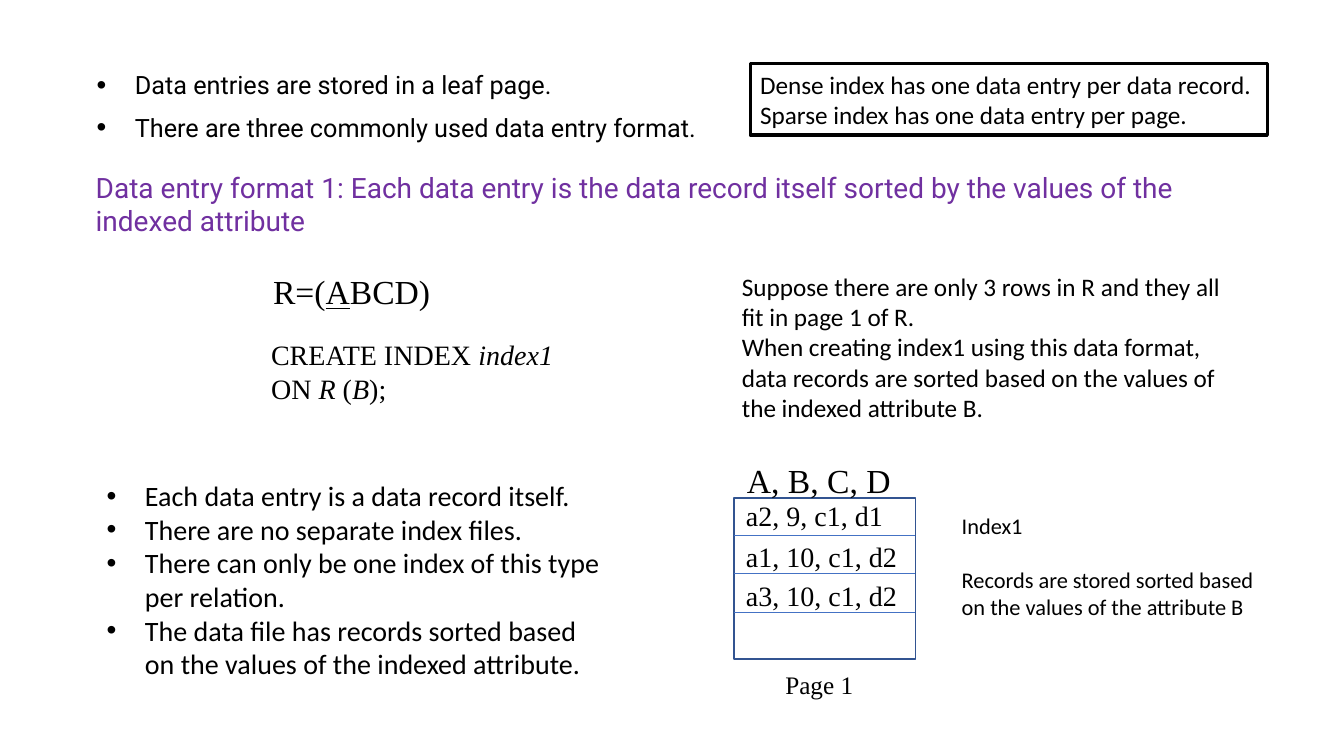
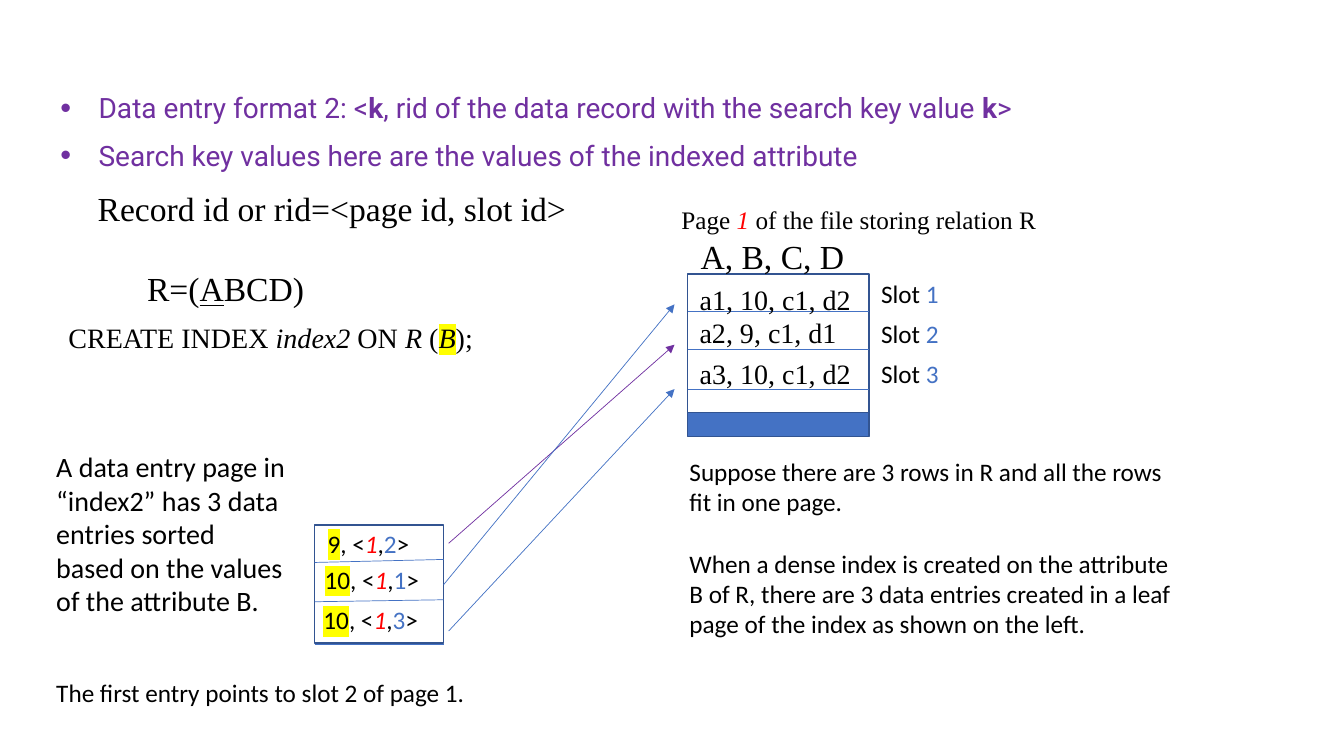
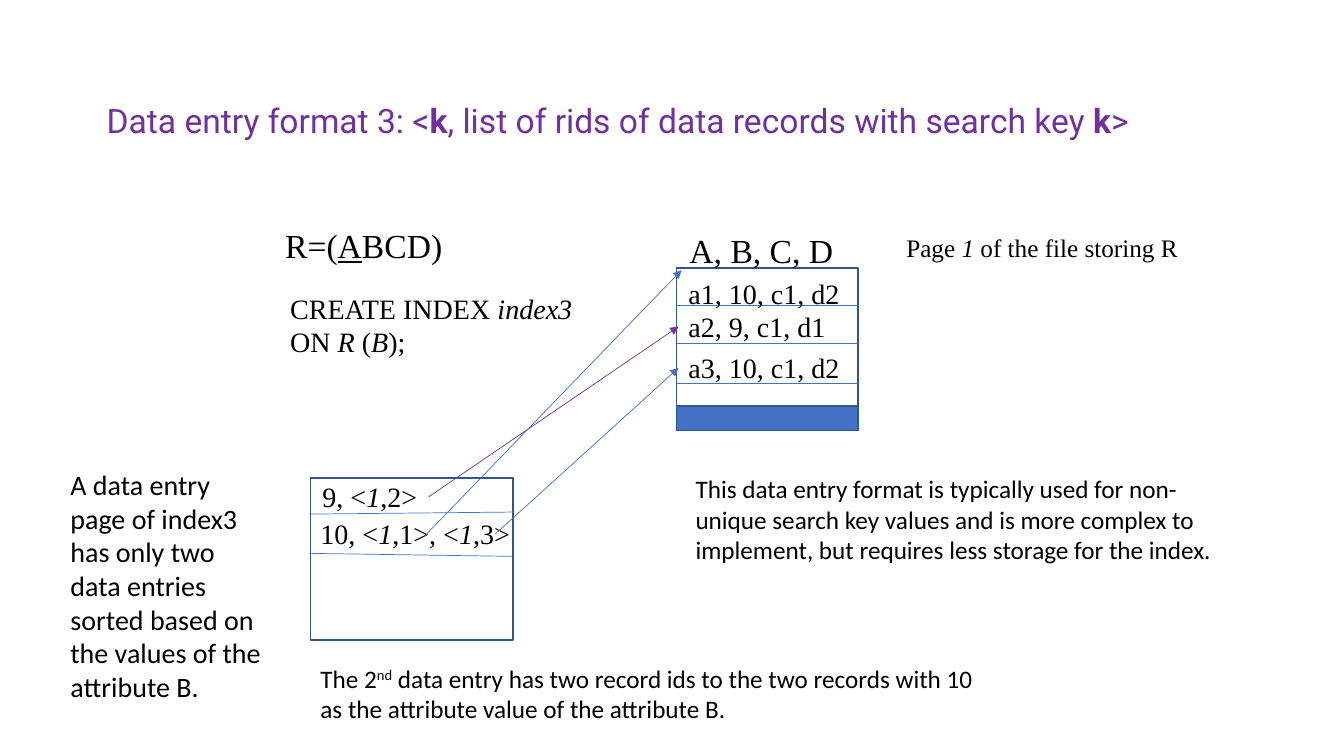
from dataclasses import dataclass, field

from lxml import etree
from pptx import Presentation
from pptx.dml.color import RGBColor
from pptx.enum import shapes, text
from pptx.oxml.ns import qn
from pptx.util import Inches, Pt


@dataclass
class Theme:
    black: str = "000000"
    purple: str = "7030A0"
    blue: str = "4472C4"
    navy: str = "325491"
    red: str = "FF0000"
    yellow: str = "FFFF00"
    sans: str = "Calibri"
    serif: str = "Times New Roman"
    title: str = "Roboto"
    small: int = 16
    body: int = 18
    large: int = 20
    huge: int = 24
    thin: float = 0.5
    outline: float = 1
    heavy: float = 2.25
    styles: dict = field(default_factory=dict)


theme = Theme()
theme.styles = {
    "heading": dict(font=theme.title, size=theme.large, color=theme.purple, wrap=True),
    "big heading": dict(font=theme.title, size=theme.huge, color=theme.purple, wrap=True),
    "heading list": dict(font=theme.title, size=theme.large, color=theme.purple, wrap=True,
                         bullet=110, indent=0.88, gap=theme.large / 2),
    "intro list": dict(font=theme.title, size=theme.body, wrap=True,
                       bullet=110, indent=0.88, gap=theme.body / 2),
    "list": dict(size=theme.large, wrap=True, bullet=100, indent=0.38),
    "prose": dict(wrap=True),
    "large prose": dict(size=theme.large, wrap=True),
    "spaced prose": dict(wrap=True, gap=22),
    "small prose": dict(size=theme.small, wrap=True, gap=19.5),
    "label": dict(),
    "caption": dict(font=theme.serif),
    "code": dict(font=theme.serif, size=theme.large),
    "formula": dict(font=theme.serif, size=theme.huge),
}

# ---- Content: a paragraph is a string or a list of runs; a run is text or (text, marks)
RELATION = [["R=(", ("A", "underline"), "BCD)"]]
COLUMNS = ["A, B, C, D"]
REC1, REC2, REC3 = "a1, 10, c1, d2", "a2, 9, c1, d1", "a3, 10, c1, d2"
SORTED_ROWS = [(REC2, -0.04), (REC1, 0.36), (REC3, 0.75)]
SLOT_ROWS = [(REC1, 0.03), (REC2, 0.36), (REC3, 0.77)]


def create_index(name, joint, key_marks="italic"):
    return [["CREATE\u00a0INDEX\u00a0", (name, "italic"), joint + "ON\u00a0", ("R", "italic"),
             "\u00a0(", ("B", key_marks), ");"]]


def colored_entry(key, slot):
    return [[(key, "highlight"), ", <", ("1", "italic red"), ",", (slot, "blue"), ">"]]


SLIDES = [
    dict(
        texts=[
            ("intro list", (0.36, 0.64, 7.08, 0.86),
             ["Data entries are stored in a leaf page. ",
              "There are three commonly used data entry format."]),
            ("heading", (0.85, 1.64, 11.75, 0.77),
             ["Data entry format 1: Each data entry is the data record itself sorted by "
              "the values of the indexed attribute"]),
            ("formula", (2.61, 2.64, 1.78, 0.51), RELATION),
            ("code", (2.59, 3.3, 3.03, 0.77), create_index("index1", "\n")),
            ("prose", (7.26, 2.64, 5.14, 1.62),
             ["Suppose there are only 3 rows in R and they all fit in page 1 of R.",
              "When creating index1 using this data format, data records are sorted based "
              "on the values of the indexed attribute B."]),
            ("list", (0.96, 4.7, 5.14, 2.12),
             ["Each data entry is a data record itself.",
              "There are no separate index files.",
              "There can only be one index of this type per relation.",
              "The data file has records sorted based on the values of the indexed attribute."]),
            ("caption", (7.69, 6.59, 0.88, 0.4), ["Page 1"]),
            ("small prose", (9.44, 5.03, 3.25, 1.18),
             ["Index1", "Records are stored sorted based on the values of the attribute B"]),
        ],
        framed=((7.44, 0.63, 5.13, 0.71),
                ["Dense index has one data entry per data record.",
                 "Sparse index has one data entry per page."]),
        records=dict(left=7.28, top=4.94, rows=SORTED_ROWS),
    ),
    dict(
        texts=[
            ("heading list", (0, 0.85, 12.7, 0.94),
             [["Data entry format 2: <", ("k", "bold"),
               ", rid of the data record with the search key value", (" k", "bold"), ">"],
              "Search key values here are the values of the indexed attribute"]),
            ("formula", (0.87, 1.82, 4.89, 0.5), ["Record id or rid=<page id, slot id>"]),
            ("formula", (1.36, 2.61, 1.78, 0.51), RELATION),
            ("code", (0.58, 3.13, 4.39, 0.44),
             create_index("index2", " ", "italic highlight")),
            ("caption", (6.66, 1.98, 3.76, 0.4),
             [["Page ", ("1 ", "italic red"), "of the file storing relation R"]]),
            ("large prose", (0.46, 4.41, 2.5, 1.78),
             ["A data entry page in \u201cindex2\u201d has 3 data entries sorted based on the "
              "values of the attribute B."]),
            ("spaced prose", (6.74, 4.48, 5.14, 1.92),
             ["Suppose there are 3 rows in R and all the rows fit in one page.",
              "When a dense index is created on the attribute B of R, there are 3 data entries "
              "created in a leaf page of the index as shown on the left."]),
            ("label", (0.46, 6.67, 4.3, 0.4), ["The first entry points to slot 2 of page 1."]),
        ],
        records=dict(left=6.82, top=2.72, rows=SLOT_ROWS, free_space=True, slots=True),
        index=dict(
            frame=(3.12, 5.21, 1.28, 1.17), style="label",
            dividers=[(5.58, 5.55), (5.97, 5.95), (6.39, 6.39)],
            entries=[((3.15, 5.19, 1.02, 0.4), colored_entry("9", "2")),
                     ((3.12, 5.55, 1.15, 0.4), colored_entry("10", "1")),
                     ((3.11, 5.95, 1.15, 0.4), colored_entry("10", "3"))]),
        pointers=[((4.45, 5.39, 6.69, 3.42), theme.purple),
                  ((4.4, 5.8, 6.69, 3.02), theme.blue),
                  ((4.45, 6.26, 6.69, 3.86), theme.blue)],
    ),
    dict(
        texts=[
            ("big heading", (0.96, 0.94, 10.9, 0.5),
             [["Data entry format 3: <", ("k", "bold"),
               ", list of rids of data records with search key ", ("k", "bold"), ">"]]),
            ("formula", (2.73, 2.18, 1.78, 0.51), RELATION),
            ("code", (2.78, 2.84, 3.03, 0.77), create_index("index3", "\n")),
            ("caption", (8.89, 2.26, 2.92, 0.4),
             [["Page ", ("1", "italic"), " of the file storing R"]]),
            ("large prose", (0.6, 4.59, 2.17, 2.46),
             ["A data entry page of index3 has only two data entries sorted based on the "
              "values of the attribute B."]),
            ("prose", (6.8, 4.65, 5.42, 1.01),
             ["This data entry format is typically used for non-unique search key values and "
              "is more complex to implement, but requires less storage for the index."]),
            ("prose", (3.08, 6.53, 6.67, 0.71),
             [["The 2", ("nd", "super"), " data entry has two record ids to the two records "
               "with 10 as the attribute value of the attribute B."]]),
        ],
        records=dict(left=6.71, top=2.66, rows=SLOT_ROWS, free_space=True),
        index=dict(
            frame=(3.08, 4.74, 2.01, 1.61), style="code",
            dividers=[(5.1, 5.08), (5.49, 5.52)],
            entries=[((3.1, 4.71, 1.15, 0.44), [["9, <", ("1", "italic"), ",2>"]]),
                     ((3.08, 5.08, 2.1, 0.44),
                      [["10, <", ("1", "italic"), ",1>, <", ("1", "italic"), ",3>"]])]),
        pointers=[((4.25, 4.93, 6.73, 3.24), theme.purple),
                  ((4.21, 5.32, 6.76, 2.68), theme.blue),
                  ((4.91, 5.3, 6.73, 3.65), theme.blue)],
    ),
]


# ---- Text
def add_span(para, words, marks, font, size, color):
    span = para.add_run()
    span.text = words
    face = span.font
    face.size, face.name = Pt(size), font
    face.bold, face.italic = "bold" in marks, "italic" in marks
    face.underline = "underline" in marks
    tint = theme.red if "red" in marks else theme.blue if "blue" in marks else color
    face.color.rgb = RGBColor.from_string(tint)
    props = face._element
    if "super" in marks:
        props.set("baseline", "30000")
    if "highlight" in marks:
        glow = etree.Element(qn("a:highlight"))
        etree.SubElement(glow, qn("a:srgbClr"), val=theme.yellow)
        props.find(qn("a:latin")).addprevious(glow)


def add_bullet(para, percent, indent):
    props = para._p.get_or_add_pPr()
    props.set("marL", str(Inches(indent)))
    props.set("indent", str(-Inches(0.38)))
    etree.SubElement(props, qn("a:buSzPct"), val=str(percent * 1000))
    etree.SubElement(props, qn("a:buFont"), typeface="Arial")
    etree.SubElement(props, qn("a:buChar"), char="\u2022")


def fill_text(box, paras, font=theme.sans, size=theme.body, color=theme.black,
              wrap=False, bullet=None, indent=0, gap=0):
    frame = box.text_frame
    frame.word_wrap = wrap
    frame.auto_size = text.MSO_AUTO_SIZE.SHAPE_TO_FIT_TEXT
    for number, runs in enumerate(paras):
        para = frame.add_paragraph() if number else frame.paragraphs[0]
        para.alignment = text.PP_ALIGN.LEFT
        if number and gap:
            para.space_before = Pt(gap)
        if bullet:
            add_bullet(para, bullet, indent)
        for run in [runs] if isinstance(runs, str) else runs:
            words, marks = (run, "") if isinstance(run, str) else run
            for line, piece in enumerate(words.split("\n")):
                if line:
                    para.add_line_break()
                if piece:
                    add_span(para, piece, marks.split(), font, size, color)


def write(page, at, paras, style):
    box = page.shapes.add_textbox(*map(Inches, at))
    fill_text(box, paras, **theme.styles[style])


# ---- Shapes and lines
def add_frame(page, at, fill=None, line=theme.navy, width=theme.outline):
    box = page.shapes.add_shape(shapes.MSO_SHAPE.RECTANGLE, *map(Inches, at))
    box.shadow.inherit = False
    if fill:
        box.fill.solid()
        box.fill.fore_color.rgb = RGBColor.from_string(fill)
    else:
        box.fill.background()
    box.line.color.rgb = RGBColor.from_string(line)
    box.line.width = Pt(width)
    return box


def add_line(page, ends, color=theme.blue, arrow=False):
    line = page.shapes.add_connector(shapes.MSO_CONNECTOR.STRAIGHT, *map(Inches, ends))
    line.line.color.rgb = RGBColor.from_string(color)
    line.line.width = Pt(theme.thin)
    if arrow:
        etree.SubElement(line.line._get_or_add_ln(), qn("a:tailEnd"), type="triangle")
    etree.SubElement(line._element.spPr, qn("a:effectLst"))


# ---- Diagram parts
def draw_records(page, left, top, rows, free_space=False, slots=False):
    width, height, band = 1.8, 1.6, 0.24
    add_frame(page, (left, top, width, height))
    for offset in (0.37, 0.75, 1.14):
        add_line(page, (left, top + offset, left + width, top + offset))
    if free_space:
        add_frame(page, (left, top + height - band + 0.01, width, band), fill=theme.blue)
    write(page, (left + 0.03, top - 0.43, 1.64, 0.51), COLUMNS, "formula")
    for number, (record, offset) in enumerate(rows):
        row_width = 1.57 if record == REC2 else 1.71
        write(page, (left + 0.02, top + offset, row_width, 0.44), [record], "code")
        if slots:
            write(page, (left + width + 0.02, top - 0.01 + number * 0.4, 0.78, 0.4),
                  [["Slot ", (str(number + 1), "blue")]], "label")


def draw_index(page, frame, style, dividers, entries):
    add_frame(page, frame)
    left, width = frame[0], frame[2]
    for start, end in dividers:
        add_line(page, (left, start, left + width, end))
    for at, entry in entries:
        write(page, at, entry, style)


# ---- Build
deck = Presentation()
deck.slide_width, deck.slide_height = Inches(13.33), Inches(7.5)
for content in SLIDES:
    page = deck.slides.add_slide(deck.slide_layouts[6])
    for style, at, paras in content["texts"]:
        write(page, at, paras, style)
    if "framed" in content:
        at, paras = content["framed"]
        fill_text(add_frame(page, at, line=theme.black, width=theme.heavy), paras)
    draw_records(page, **content["records"])
    if "index" in content:
        draw_index(page, **content["index"])
    for ends, color in content.get("pointers", []):
        add_line(page, ends, color, arrow=True)
deck.save("out.pptx")
